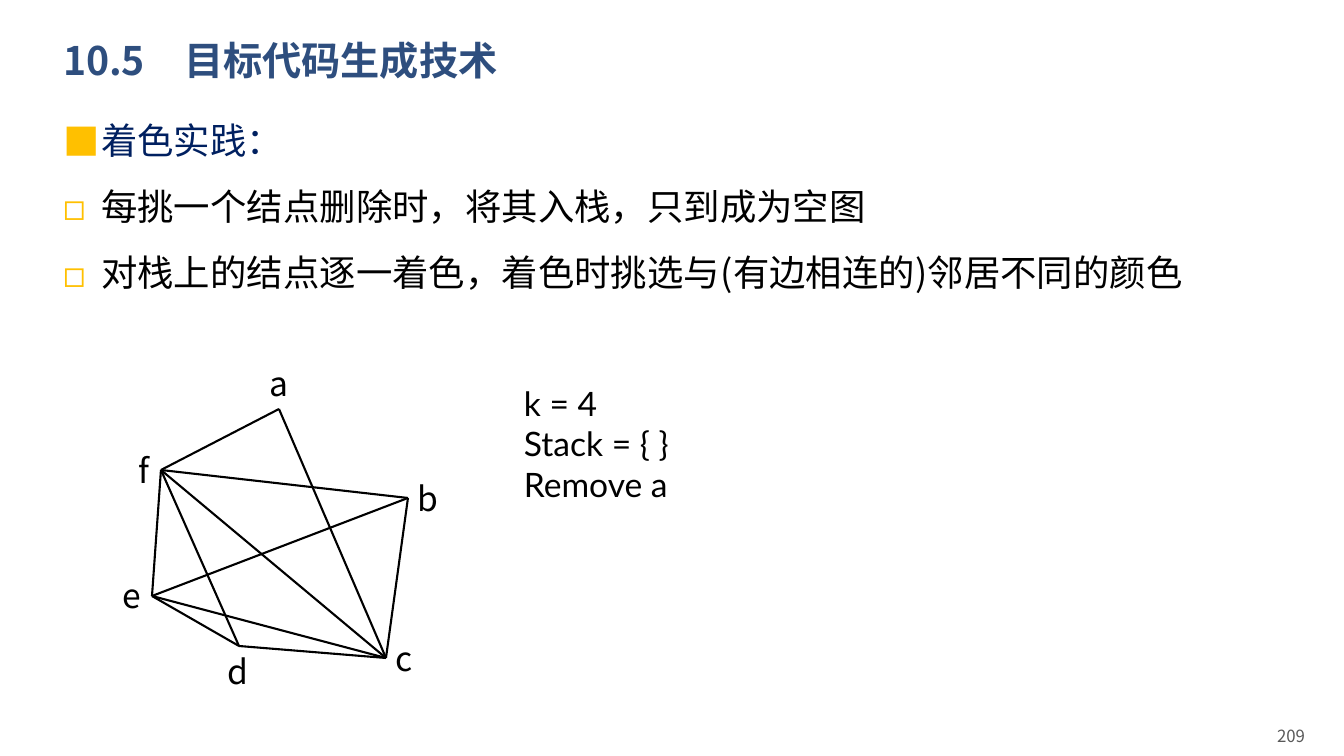
from lxml.etree import SubElement
from pptx import Presentation
from pptx.dml.color import RGBColor
from pptx.enum.shapes import MSO_CONNECTOR
from pptx.enum.text import MSO_ANCHOR, PP_ALIGN
from pptx.oxml.ns import qn
from pptx.util import Pt

EMU_PER_PX = 914400 / 100.8
CJK_FONT = "Noto Sans CJK SC"
BLACK = "000000"
BULLET_COLOR = "FFC000"

# Node: label left, label top, vertex x, vertex y
NODES = {
    "a": (260, 358, 279, 409),
    "b": (408, 473, 408, 498),
    "c": (386, 633, 386, 658),
    "d": (218, 646, 239, 646),
    "e": (113, 570, 152, 596),
    "f": (129, 445, 161, 470),
}
EDGES = ["ac", "af", "cf", "cd", "fd", "ec", "ed", "ef", "eb", "cb", "fb"]

RULES = [
    ("■", "着色实践：", "002060"),
    ("◻", "每挑一个结点删除时，将其入栈，只到成为空图", BLACK),
    ("◻", "对栈上的结点逐一着色，着色时挑选与(有边相连的)邻居不同的颜色", BLACK),
]


def px(length):
    return round(length * EMU_PER_PX)


def color(hex_string):
    return RGBColor.from_string(hex_string)


def place(shape, left, top, width, height):
    shape.left, shape.top = px(left), px(top)
    shape.width, shape.height = px(width), px(height)


def style(paragraph, size, hex_string, font=CJK_FONT, bold=False):
    for run in paragraph.runs:
        run.font.size = Pt(size)
        run.font.name = font
        run.font.bold = bold
        run.font.color.rgb = color(hex_string)
        SubElement(run.font._element, qn("a:ea")).set("typeface", font)


def add_bullet(paragraph, mark):
    properties = paragraph._p.get_or_add_pPr()
    properties.set("marL", str(px(38)))
    properties.set("indent", str(-px(38)))
    mark_color = SubElement(properties, qn("a:buClr"))
    SubElement(mark_color, qn("a:srgbClr")).set("val", BULLET_COLOR)
    SubElement(properties, qn("a:buFont")).set("typeface", CJK_FONT)
    SubElement(properties, qn("a:buChar")).set("char", mark)


def add_text(slide, text, box, size, hex_string=BLACK, font=CJK_FONT,
             align=PP_ALIGN.LEFT, anchor=MSO_ANCHOR.TOP, wrap=True):
    frame = slide.shapes.add_textbox(*map(px, box)).text_frame
    frame.word_wrap = wrap
    frame.vertical_anchor = anchor
    frame.text = text
    for paragraph in frame.paragraphs:
        paragraph.alignment = align
        style(paragraph, size, hex_string, font)


def add_edge(slide, start, end):
    edge = slide.shapes.add_connector(
        MSO_CONNECTOR.STRAIGHT, *map(px, NODES[start][2:] + NODES[end][2:]))
    edge.line.color.rgb = color(BLACK)
    edge.line.width = Pt(1.5)
    SubElement(edge._element.spPr, qn("a:effectLst"))


def fill_title(title):
    place(title, 53, 28, 1159, 69)
    frame = title.text_frame
    frame.text = "10.5\u3000目标代码生成技术".replace("\u3000", "　")
    frame.vertical_anchor = MSO_ANCHOR.MIDDLE
    heading = frame.paragraphs[0]
    heading.alignment = PP_ALIGN.LEFT
    heading.line_spacing = 0.9
    style(heading, 28, "2E4E7E", bold=True)


def fill_rules(body):
    place(body, 53, 104, 1261, 251)
    frame = body.text_frame
    frame.text = "\n".join(text for _, text, _ in RULES)
    for index, (mark, _, hex_string) in enumerate(RULES):
        rule = frame.paragraphs[index]
        rule.alignment = PP_ALIGN.JUSTIFY
        rule.line_spacing = 1.2
        rule.space_before = Pt(10 if index else 0)
        add_bullet(rule, mark)
        style(rule, 26, hex_string)


def main():
    deck = Presentation()
    deck.slide_width, deck.slide_height = px(1344), px(756)
    slide = deck.slides.add_slide(deck.slide_layouts[1])

    # Heading and colouring rules
    fill_title(slide.shapes.title)
    fill_rules(slide.placeholders[1])

    # Interference graph
    for label, (left, top, _, _) in NODES.items():
        add_text(slide, label, (left, top, 40, 50), 24, wrap=False)
    for start, end in EDGES:
        add_edge(slide, start, end)

    # Stack state
    add_text(slide, "k = 4\nStack = { }\nRemove a", (514, 378, 182, 132), 24,
             font="Lato")

    # Page number
    add_text(slide, "209", (923, 716, 392, 40), 12, "595959",
             align=PP_ALIGN.RIGHT, anchor=MSO_ANCHOR.MIDDLE)

    deck.save("out.pptx")


if __name__ == "__main__":
    main()
